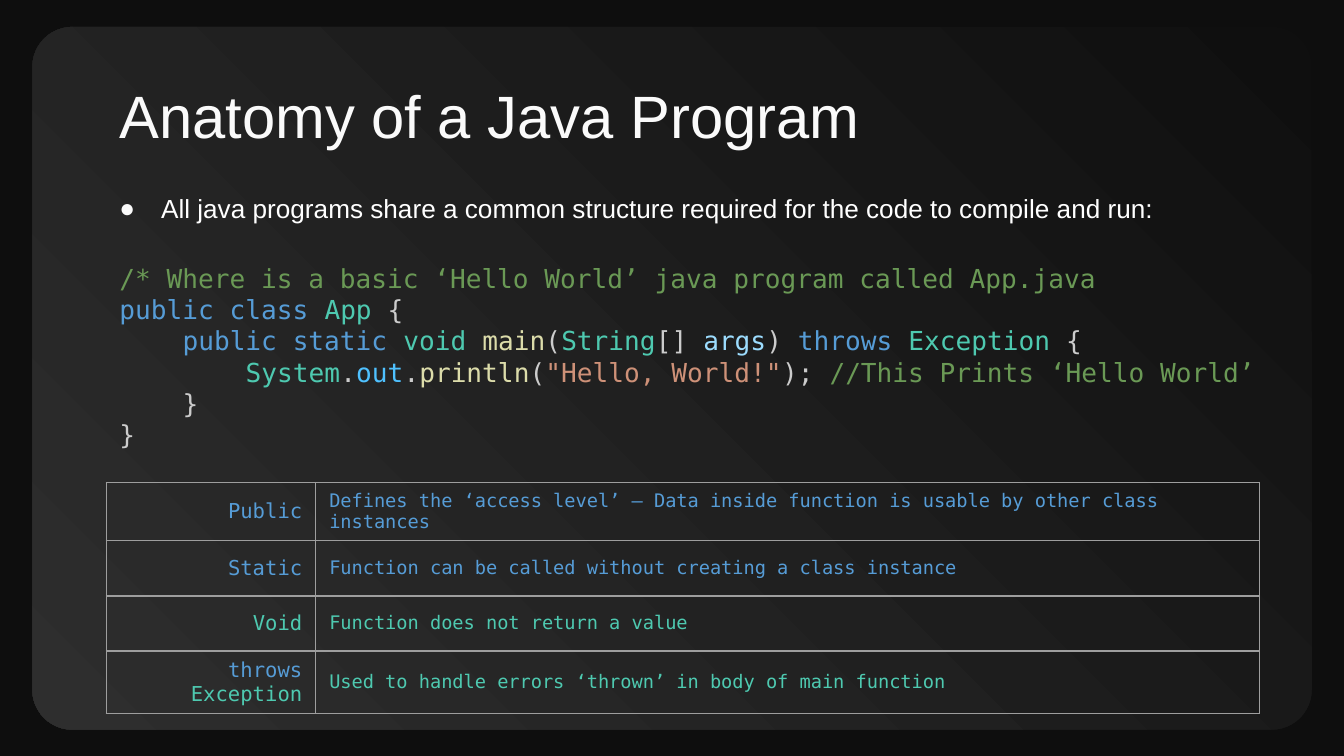
from lxml import etree
from pptx import Presentation
from pptx.dml.color import RGBColor
from pptx.enum.shapes import MSO_SHAPE
from pptx.enum.text import MSO_ANCHOR, PP_ALIGN
from pptx.oxml.ns import qn
from pptx.util import Inches, Pt

ROUNDED = MSO_SHAPE.ROUNDED_RECTANGLE
MIDDLE = MSO_ANCHOR.MIDDLE
LEFT, RIGHT = PP_ALIGN.LEFT, PP_ALIGN.RIGHT
SANS, MONO = "Arial", "DejaVu Sans Mono"

# Syntax colours
KEYWORD, TYPE, METHOD, PLAIN = "569CD6", "4EC9B0", "DCDCAA", "CCCCCC"
COMMENT, STRING, ARGUMENT, FIELD = "6A9955", "CE9178", "9CDCFE", "4FC1FF"
WHITE, OFF_WHITE, BORDER = "FFFFFF", "FAFAFA", "9E9E9E"

# Content
TITLE = "Anatomy of a Java Program"
INTRO = "All java programs share a common structure required for the code to compile and run:"

# Each code line: indent level, then (text, colour) pieces
CODE = [
    (0, [("/* Where is a basic ‘Hello World’ java program called App.java", COMMENT)]),
    (0, [("public class ", KEYWORD), ("App", TYPE), (" {", PLAIN)]),
    (1, [("public static ", KEYWORD), ("void ", TYPE), ("main", METHOD), ("(", PLAIN),
         ("String", TYPE), ("[] ", PLAIN), ("args", ARGUMENT), (") ", PLAIN),
         ("throws ", KEYWORD), ("Exception", TYPE), (" {", PLAIN)]),
    (2, [("System", TYPE), (".", PLAIN), ("out", FIELD), (".", PLAIN),
         ("println", METHOD), ("(", PLAIN), ('"Hello, World!"', STRING),
         ("); ", PLAIN), ("//This Prints ‘Hello World’", COMMENT)]),
    (1, [("}", PLAIN)]),
    (0, [("}", PLAIN)]),
]

# Each table row: pieces of the term, pieces of the meaning
TERMS = [
    ([("Public", KEYWORD)],
     [("Defines the ‘access level’ – Data inside function is usable by other class instances", KEYWORD)]),
    ([("Static", KEYWORD)],
     [("Function can be called without creating a class instance", KEYWORD)]),
    ([("Void", TYPE)],
     [("Function does not return a value", TYPE)]),
    ([("throws ", KEYWORD), ("Exception", TYPE)],
     [("Used to handle errors ‘thrown’ in body of main function", TYPE)]),
]

# Layout in inches
MARGIN_LEFT = 0.79
CODE_INDENT = 0.47
COLUMN_WIDTHS = [1.56, 7.02]
ROW_HEIGHTS = [0.4, 0.41, 0.41, 0.41]
COLUMN_FORMATS = [(RIGHT, 11), (LEFT, 10)]


def rgb(value):
    return RGBColor.from_string(value)


def write(paragraph, pieces, font, size):
    for text, color in pieces:
        run = paragraph.add_run()
        run.text = text
        for name, value in {"name": font, "size": Pt(size)}.items():
            setattr(run.font, name, value)
        run.font.color.rgb = rgb(color)


def add_text_frame(slide, top, width, height, inset):
    box = slide.shapes.add_textbox(Inches(MARGIN_LEFT), Inches(top), Inches(width), Inches(height))
    frame = box.text_frame
    settings = {"word_wrap": True, "margin_top": Inches(inset), "margin_bottom": Inches(inset)}
    for name, value in settings.items():
        setattr(frame, name, value)
    return frame


def indent(paragraph, left, first=0):
    properties = paragraph._p.get_or_add_pPr()
    properties.set("marL", str(Inches(left)))
    properties.set("indent", str(Inches(first)))
    return properties


def add_bullet(paragraph, character, color, font):
    properties = indent(paragraph, 0.31, -0.31)
    bullet_color = etree.SubElement(properties, qn("a:buClr"))
    etree.SubElement(bullet_color, qn("a:srgbClr"), val=color)
    etree.SubElement(properties, qn("a:buFont"), typeface=font)
    etree.SubElement(properties, qn("a:buChar"), char=character)


def set_borders(cell, color, width):
    properties = cell._tc.get_or_add_tcPr()
    for position, side in enumerate(("lnL", "lnR", "lnT", "lnB")):
        line = etree.Element(qn(f"a:{side}"), w=str(Pt(width)))
        fill = etree.SubElement(line, qn("a:solidFill"))
        etree.SubElement(fill, qn("a:srgbClr"), val=color)
        properties.insert(position, line)


# Widescreen slide, 16:9
presentation = Presentation()
presentation.slide_width = Inches(10)
presentation.slide_height = Inches(10 * 9 / 16)
slide = presentation.slides.add_slide(presentation.slide_layouts[6])

# Background and rounded panel
slide.background.fill.solid()
slide.background.fill.fore_color.rgb = rgb("0E0E0E")
panel = slide.shapes.add_shape(ROUNDED, Inches(0.24), Inches(0.2), Inches(9.52), Inches(5.23))
panel.shadow.inherit = False
panel.adjustments[0] = 0.057
panel.line.fill.background()
panel.fill.gradient()
panel.fill.gradient_angle = 225
for stop, position, color in zip(panel.fill.gradient_stops, (0, 1), ("0F0F0F", "2E2E2E")):
    stop.position = position
    stop.color.rgb = rgb(color)

# Title
title_frame = add_text_frame(slide, 0.49, 8.43, 0.63, 0.1)
write(title_frame.paragraphs[0], [(TITLE, OFF_WHITE)], SANS, 32)

# Introductory bullet
intro = add_text_frame(slide, 1.3, 8.58, 1.36, 0.1).paragraphs[0]
intro.line_spacing = 1.15
add_bullet(intro, "●", OFF_WHITE, SANS)
write(intro, [(INTRO, WHITE)], SANS, 14)

# Code listing
code_frame = add_text_frame(slide, 1.9, 8.73, 1.51, 0.05)
for number, (level, pieces) in enumerate(CODE):
    paragraph = code_frame.add_paragraph() if number else code_frame.paragraphs[0]
    indent(paragraph, level * CODE_INDENT)
    write(paragraph, pieces, MONO, 14)

# Table of terms
table = slide.shapes.add_table(
    len(TERMS), len(COLUMN_WIDTHS), Inches(MARGIN_LEFT), Inches(3.59),
    Inches(sum(COLUMN_WIDTHS)), Inches(sum(ROW_HEIGHTS))).table
table.first_row = table.horz_banding = False
for column, width in zip(table.columns, COLUMN_WIDTHS):
    column.width = Inches(width)
for row, height, term in zip(table.rows, ROW_HEIGHTS, TERMS):
    row.height = Inches(height)
    for cell, pieces, (alignment, size) in zip(row.cells, term, COLUMN_FORMATS):
        cell.fill.background()
        cell.vertical_anchor = MIDDLE
        set_borders(cell, BORDER, 0.75)
        paragraph = cell.text_frame.paragraphs[0]
        paragraph.alignment = alignment
        write(paragraph, pieces, MONO, size)

presentation.save("out.pptx")
